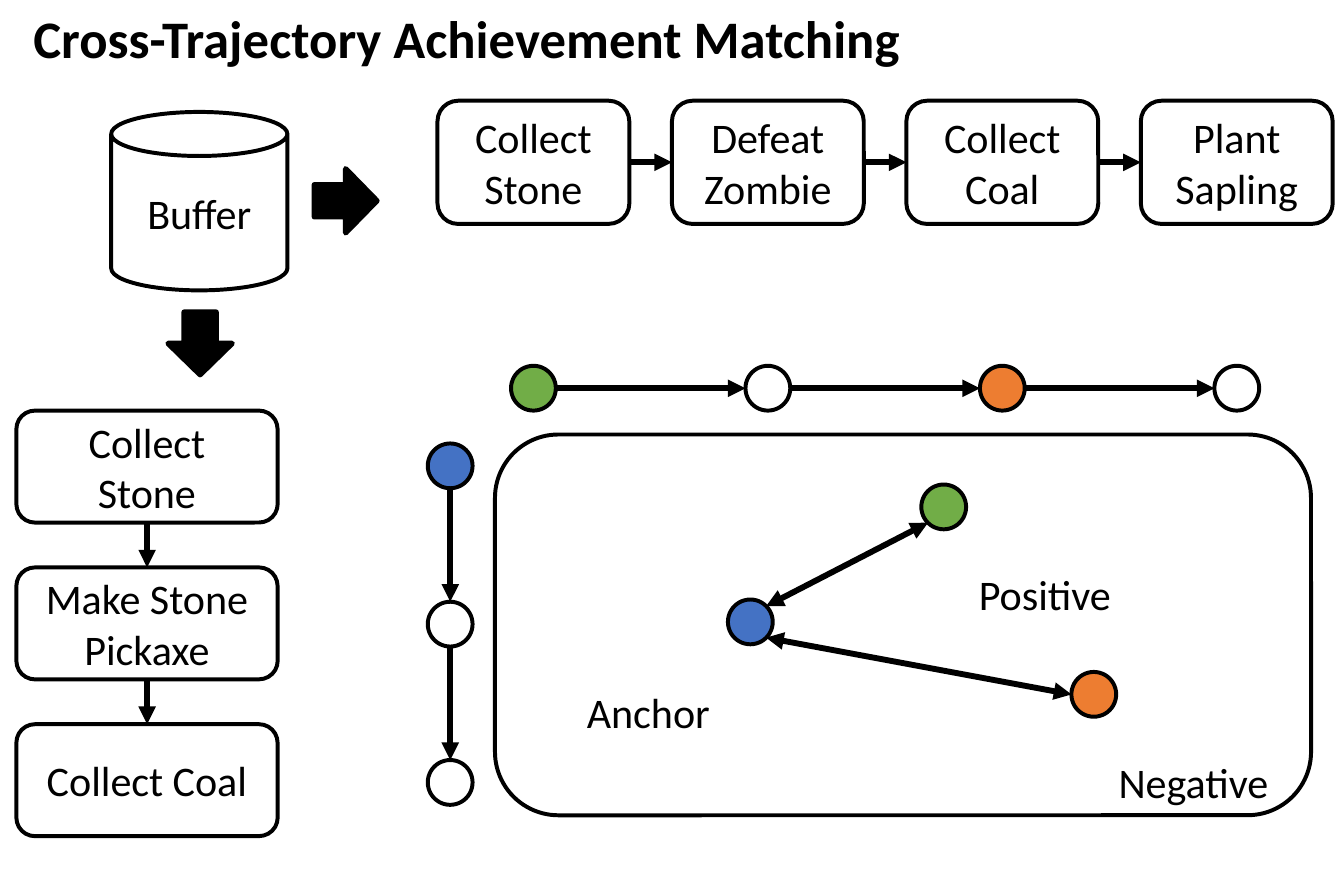
import pptx
import pptx.util
import pptx.dml.color
import pptx.enum.shapes
import pptx.enum.text
import pptx.oxml.ns
import lxml.etree

Cm, Pt = pptx.util.Cm, pptx.util.Pt
RGBColor = pptx.dml.color.RGBColor
SHAPE = pptx.enum.shapes.MSO_SHAPE
BLACK = RGBColor(0x00, 0x00, 0x00)
WHITE = RGBColor(0xFF, 0xFF, 0xFF)
BLUE = RGBColor(0x44, 0x72, 0xC4)
GREEN = RGBColor(0x71, 0xAD, 0x47)
ORANGE = RGBColor(0xED, 0x7D, 0x31)
FONT = "Calibri"

TITLE = ("Cross-Trajectory Achievement Matching", -0.28, -0.05, 13.06, 1.12)
BUFFER = ("Buffer", 1.49, 1.5, 2.36, 2.39)
BLOCK_ARROWS = [(4.21, 2.26, 0), (2.26, 4.17, 90)]
BLOCK_ARROW_SIZE = (0.84, 0.86)

ROW_STEPS = [("Collect Stone", GREEN), ("Defeat Zombie", None),
             ("Collect Coal", ORANGE), ("Plant Sapling", None)]
ROW_LEFT, ROW_TOP, ROW_PITCH = 5.86, 1.35, 3.14
ROW_BOX = (2.57, 1.65)
ROW_NODE_Y = 5.2

COLUMN_STEPS = [("Collect Stone", BLUE), ("Make Stone Pickaxe", None),
                ("Collect Coal", None)]
COLUMN_LEFT, COLUMN_TOP, COLUMN_PITCH = 0.22, 5.5, 2.1
COLUMN_BOX = (3.5, 1.5)
COLUMN_NODE_X, COLUMN_NODE_TOP, COLUMN_NODE_PITCH = 6.03, 6.24, 2.12

PANEL = (6.63, 5.82, 10.93, 5.1)
ANCHOR, POSITIVE, NEGATIVE = (10.05, 8.33), (12.64, 6.79), (14.65, 9.3)
LABELS = [("Anchor", 7.34, 9.07, 2.69, 0.94),
          ("Positive", 12.65, 7.49, 2.69, 0.94),
          ("Negative", 14.5, 10.01, 2.97, 0.94)]
RADIUS = 0.3
DIAGONAL = 0.21

deck = pptx.Presentation()
deck.slide_width, deck.slide_height = Cm(18), Cm(12)
slide = deck.slides.add_slide(deck.slide_layouts[6])


def write(holder, wording, size=16, bold=False):
    frame = holder.text_frame
    frame.word_wrap = True
    frame.text = wording
    paragraph = frame.paragraphs[0]
    paragraph.alignment = pptx.enum.text.PP_ALIGN.CENTER
    font = paragraph.runs[0].font
    font.name, font.size, font.bold = FONT, Pt(size), bold
    font.color.rgb = BLACK


def draw(kind, left, top, width, height, fill=None, wording=None, weight=1.5):
    shape = slide.shapes.add_shape(kind, Cm(left), Cm(top), Cm(width), Cm(height))
    shape.shadow.inherit = False
    if fill is None:
        shape.fill.background()
    else:
        shape.fill.solid()
        shape.fill.fore_color.rgb = fill
    shape.line.color.rgb = BLACK
    shape.line.width = Pt(weight)
    if wording:
        shape.text_frame.vertical_anchor = pptx.enum.text.MSO_ANCHOR.MIDDLE
        write(shape, wording)
    return shape


def node(x, y, fill):
    draw(SHAPE.OVAL, x - RADIUS, y - RADIUS, 2 * RADIUS, 2 * RADIUS, fill)


def arrow(x1, y1, x2, y2, double=False):
    link = slide.shapes.add_connector(
        pptx.enum.shapes.MSO_CONNECTOR.STRAIGHT, Cm(x1), Cm(y1), Cm(x2), Cm(y2))
    link.line.color.rgb = BLACK
    link.line.width = Pt(2.25)
    outline = link.line._get_or_add_ln()
    for end in (["headEnd"] if double else []) + ["tailEnd"]:
        lxml.etree.SubElement(outline, pptx.oxml.ns.qn("a:" + end), type="triangle")
    lxml.etree.SubElement(link._element.spPr, pptx.oxml.ns.qn("a:effectLst"))


def caption(wording, left, top, width, height, size=16, bold=False):
    box = slide.shapes.add_textbox(Cm(left), Cm(top), Cm(width), Cm(height))
    write(box, wording, size, bold)


caption(*TITLE, size=20, bold=True)
draw(SHAPE.CAN, *BUFFER[1:], wording=BUFFER[0])
for left, top, turn in BLOCK_ARROWS:
    draw(SHAPE.RIGHT_ARROW, left, top, *BLOCK_ARROW_SIZE, BLACK, weight=2).rotation = turn

width, height = ROW_BOX
for i, (step, color) in enumerate(ROW_STEPS):
    left = ROW_LEFT + i * ROW_PITCH
    x, y = left + width / 2, ROW_TOP + height / 2
    draw(SHAPE.ROUNDED_RECTANGLE, left, ROW_TOP, width, height, wording=step)
    node(x, ROW_NODE_Y, color)
    if i:
        arrow(left - ROW_PITCH + width, y, left, y)
        arrow(x - ROW_PITCH + RADIUS, ROW_NODE_Y, x - RADIUS, ROW_NODE_Y)

width, height = COLUMN_BOX
for i, (step, color) in enumerate(COLUMN_STEPS):
    top = COLUMN_TOP + i * COLUMN_PITCH
    x, y = COLUMN_LEFT + width / 2, COLUMN_NODE_TOP + i * COLUMN_NODE_PITCH
    draw(SHAPE.ROUNDED_RECTANGLE, COLUMN_LEFT, top, width, height, wording=step)
    node(COLUMN_NODE_X, y, color)
    if i:
        arrow(x, top - COLUMN_PITCH + height, x, top)
        arrow(COLUMN_NODE_X, y - COLUMN_NODE_PITCH + RADIUS, COLUMN_NODE_X, y - RADIUS)

draw(SHAPE.ROUNDED_RECTANGLE, *PANEL, WHITE)
for center, color in ((ANCHOR, BLUE), (POSITIVE, GREEN), (NEGATIVE, ORANGE)):
    node(*center, color)
arrow(ANCHOR[0] + DIAGONAL, ANCHOR[1] + DIAGONAL,
      NEGATIVE[0] - RADIUS, NEGATIVE[1], double=True)
arrow(POSITIVE[0] - DIAGONAL, POSITIVE[1] + DIAGONAL,
      ANCHOR[0] + DIAGONAL, ANCHOR[1] - DIAGONAL, double=True)
for label in LABELS:
    caption(*label)

deck.save("out.pptx")
